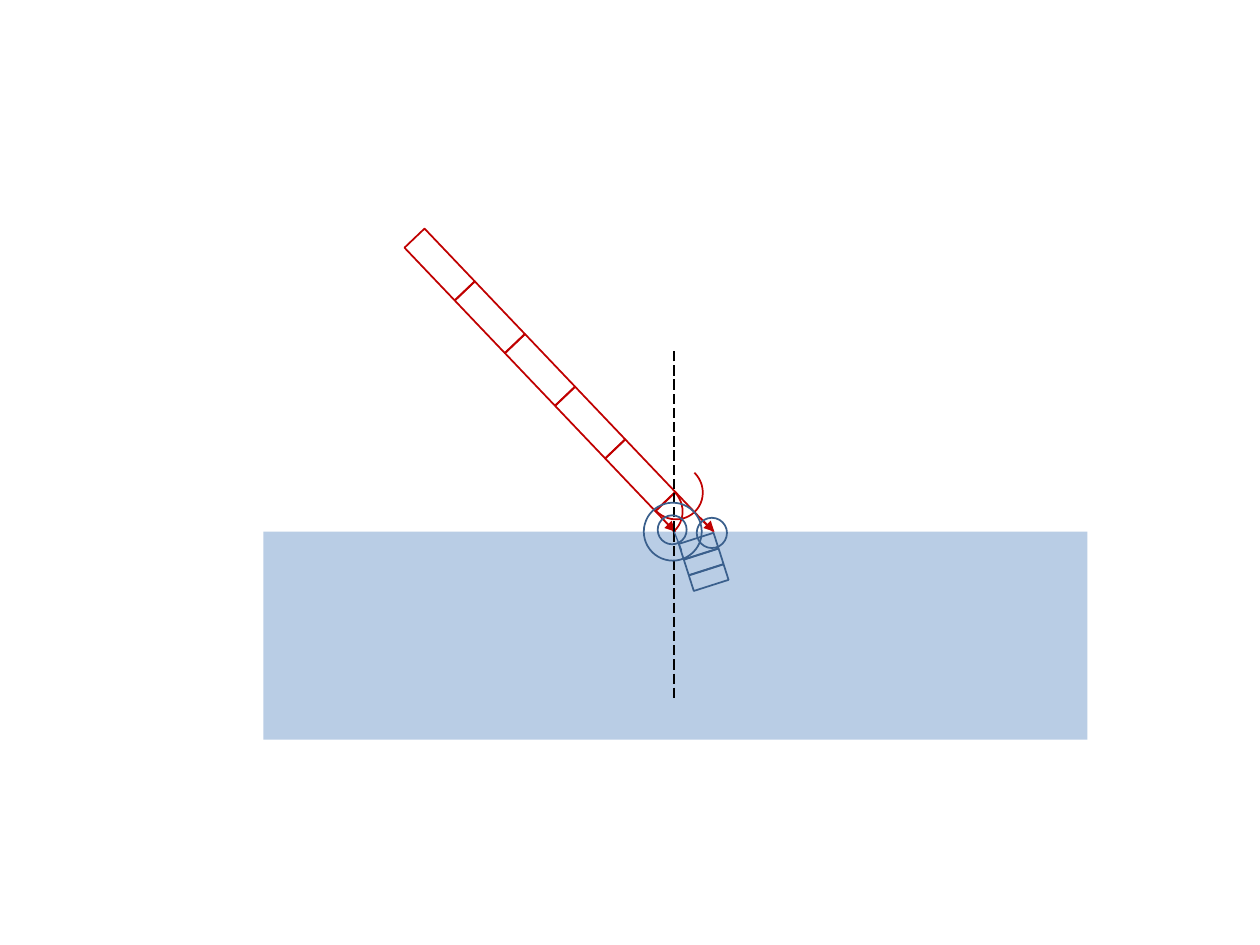
"""Build a slide of a segmented beam striking a water surface and bending below it."""
from lxml import etree
from pptx import Presentation
from pptx.dml.color import RGBColor
from pptx.enum.dml import MSO_LINE
from pptx.enum.shapes import MSO_CONNECTOR, MSO_SHAPE
from pptx.oxml.ns import qn
from pptx.util import Inches, Pt

RECTANGLE = MSO_SHAPE.RECTANGLE
OVAL = MSO_SHAPE.OVAL
STRAIGHT = MSO_CONNECTOR.STRAIGHT
LONG_DASH = MSO_LINE.LONG_DASH
COLORS = {"beam": "C00000", "water": "B9CDE5", "wave": "3A5F8C",
          "edge": "376092", "normal": "000000", "mask": "FFFFFF"}
BEAM_ANGLE = 46.4
BENT_ANGLE = 72.3

deck = Presentation()
deck.slide_width = Inches(10)
deck.slide_height = Inches(7.5)
page = deck.slides.add_slide(deck.slide_layouts[6])


def add_box(kind, left, top, width, height, line=None, fill=None, angle=0, weight=1):
    box = page.shapes.add_shape(kind, Inches(left), Inches(top), Inches(width), Inches(height))
    box.shadow.inherit = False
    box.rotation = angle
    if fill:
        box.fill.solid()
        box.fill.fore_color.rgb = RGBColor.from_string(COLORS[fill])
    else:
        box.fill.background()
    if line:
        box.line.color.rgb = RGBColor.from_string(COLORS[line])
        box.line.width = Pt(weight)
    else:
        box.line.fill.background()


def add_line(x1, y1, x2, y2, color, dash=None, arrow=False):
    line = page.shapes.add_connector(STRAIGHT, Inches(x1), Inches(y1), Inches(x2), Inches(y2))
    line.line.color.rgb = RGBColor.from_string(COLORS[color])
    line.line.width = Pt(0.75)
    if dash:
        line.line.dash_style = dash
    if arrow:
        etree.SubElement(line.line._get_or_add_ln(), qn("a:tailEnd"), type="triangle")
    etree.SubElement(line._element.spPr, qn("a:effectLst"))


for left, top in [(4.98, 3.84), (5.14, 3.69)]:
    add_box(OVAL, left, top, 0.44, 0.43, "beam", angle=BEAM_ANGLE)
add_box(RECTANGLE, 5.1, 3.49, 0.2, 0.8, "mask", "mask", BEAM_ANGLE, 2)

for step in range(6):
    add_box(RECTANGLE, 3.2 + 0.398 * step, 1.99 + 0.418 * step, 0.58, 0.22,
            "beam", angle=BEAM_ANGLE)
add_box(RECTANGLE, 4.93, 4.08, 0.42, 0.2, "mask", "mask", BEAM_ANGLE, 2)

add_box(RECTANGLE, 2.09, 4.22, 6.54, 1.65, fill="water")

for x in (5.56, 5.25):
    add_line(x, 4.11, x + 0.11, 4.22, "beam", arrow=True)
for end in (2.77, 5.56):
    add_line(5.35, 4.22, 5.35, end, "normal", dash=LONG_DASH)

for step in range(3):
    add_box(RECTANGLE, 5.48 + 0.04 * step, 4.19 + 0.125 * step, 0.13, 0.29,
            "wave", angle=BENT_ANGLE)
add_line(5.35, 4.22, 5.41, 4.37, "edge")

for left, top, size in [(5.53, 4.11, 0.24), (5.22, 4.09, 0.23), (5.11, 3.99, 0.46)]:
    add_box(OVAL, left, top, size, size, "wave")

deck.save("out.pptx")
